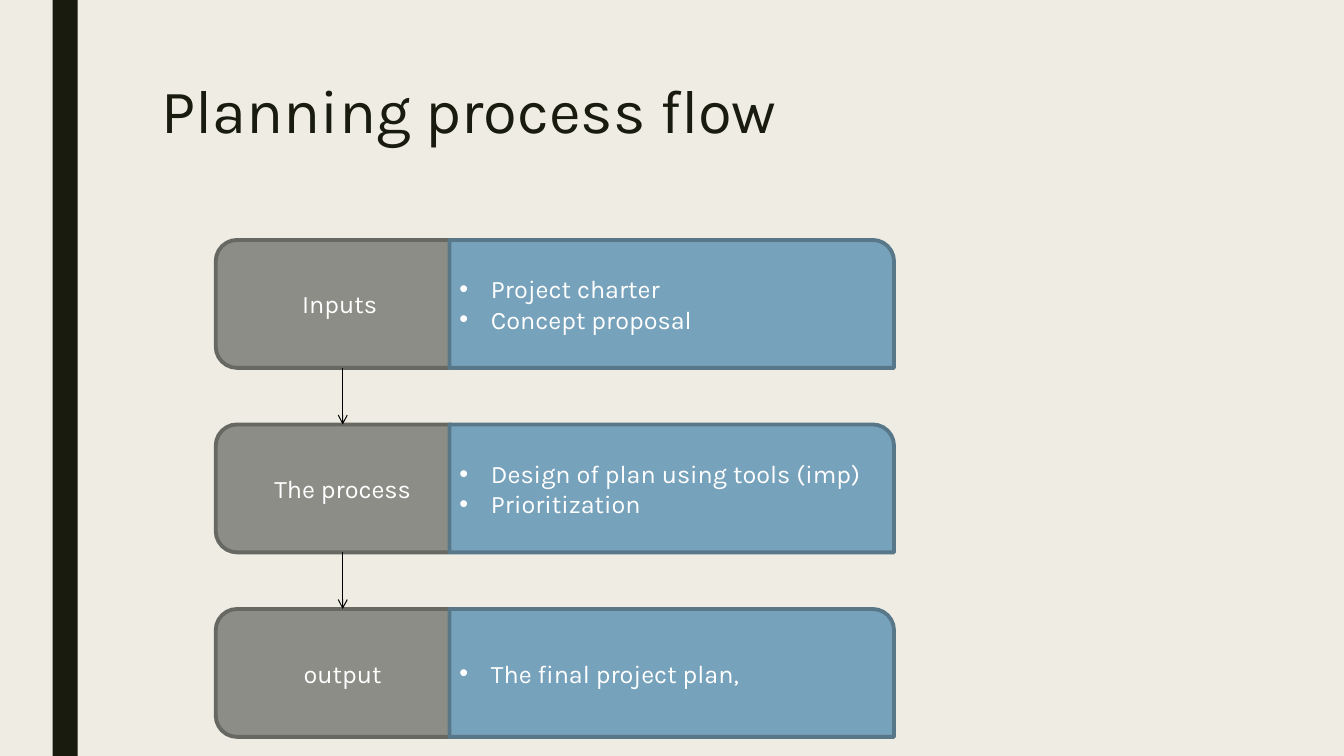
from dataclasses import dataclass

from lxml.etree import SubElement
from pptx import Presentation
from pptx.dml.color import RGBColor
from pptx.enum.shapes import MSO_CONNECTOR, MSO_SHAPE
from pptx.enum.text import MSO_ANCHOR, MSO_AUTO_SIZE, PP_ALIGN
from pptx.oxml.ns import qn
from pptx.shapes.autoshape import Shape
from pptx.slide import Slide
from pptx.util import Pt

FONT = "Karla"
INK, PAPER, WHITE, BLACK = "191B0E", "EFEDE3", "FFFFFF", "000000"
STAGE_TOP, STAGE_STEP, STAGE_HEIGHT = 171.4, 131.8, 91.4
BULLET_INDENT = 22.5


@dataclass(frozen=True)
class BoxStyle:
    preset: MSO_SHAPE
    left: float
    width: float
    fill: str
    line: str
    align: PP_ALIGN
    bulleted: bool


@dataclass(frozen=True)
class Stage:
    name: str
    details: tuple[str, ...]


NAME_STYLE = BoxStyle(MSO_SHAPE.ROUNDED_RECTANGLE, 154.1, 181.4,
                      "8C8D86", "686863", PP_ALIGN.CENTER, False)
DETAIL_STYLE = BoxStyle(MSO_SHAPE.ROUND_1_RECTANGLE, 321.1, 317.5,
                        "77A2BB", "58788A", PP_ALIGN.LEFT, True)

STAGES = (
    Stage("Inputs ", ("Project charter", "Concept proposal")),
    Stage("The process", ("Design of plan using tools (imp)", "Prioritization")),
    Stage("output", ("The final project plan,",)),
)


def rgb(code: str) -> RGBColor:
    return RGBColor.from_string(code)


def set_font(paragraph, size: float, color: str) -> None:
    paragraph.font.name = FONT
    paragraph.font.size = Pt(size)
    paragraph.font.color.rgb = rgb(color)


def add_bullet(paragraph) -> None:
    properties = paragraph._p.get_or_add_pPr()
    properties.set("marL", str(Pt(BULLET_INDENT)))
    properties.set("indent", str(-Pt(BULLET_INDENT)))
    SubElement(properties, qn("a:buFont")).set("typeface", "Arial")
    SubElement(properties, qn("a:buChar")).set("char", "•")


def add_box(slide: Slide, style: BoxStyle, top: float, lines: tuple[str, ...]) -> Shape:
    box = slide.shapes.add_shape(style.preset, Pt(style.left), Pt(top),
                                 Pt(style.width), Pt(STAGE_HEIGHT))
    box.shadow.inherit = False
    box.fill.solid()
    box.fill.fore_color.rgb = rgb(style.fill)
    box.line.color.rgb = rgb(style.line)
    box.line.width = Pt(2.75)
    frame = box.text_frame
    frame.word_wrap = True
    frame.vertical_anchor = MSO_ANCHOR.MIDDLE
    frame.text = "\n".join(lines)
    for paragraph in frame.paragraphs:
        paragraph.alignment = style.align
        if style.bulleted:
            add_bullet(paragraph)
        set_font(paragraph, 18, WHITE)
    return box


def add_arrow(slide: Slide, upper: Shape, lower: Shape) -> None:
    arrow = slide.shapes.add_connector(MSO_CONNECTOR.STRAIGHT, 0, 0, 0, 0)
    arrow.begin_connect(upper, 2)
    arrow.end_connect(lower, 0)
    arrow.line.color.rgb = rgb(BLACK)
    arrow.line.width = Pt(0.75)
    SubElement(arrow.line._get_or_add_ln(), qn("a:tailEnd")).set("type", "arrow")
    SubElement(arrow._element.spPr, qn("a:effectLst"))


def add_side_bar(slide: Slide) -> None:
    bar = slide.shapes.add_shape(MSO_SHAPE.RECTANGLE, Pt(37.5), 0, Pt(18), Pt(540))
    bar.shadow.inherit = False
    bar.fill.solid()
    bar.fill.fore_color.rgb = rgb(INK)
    bar.line.fill.background()


def format_title(slide: Slide, text: str) -> None:
    title = slide.shapes.title
    title.left, title.top = Pt(108), Pt(54)
    title.width, title.height = Pt(756), Pt(116.6)
    frame = title.text_frame
    frame.text = text
    frame.auto_size = MSO_AUTO_SIZE.NONE
    frame.vertical_anchor = MSO_ANCHOR.TOP
    heading = frame.paragraphs[0]
    heading.alignment = PP_ALIGN.LEFT
    heading.line_spacing = 0.89
    set_font(heading, 44, INK)


def main() -> None:
    deck = Presentation()
    deck.slide_width, deck.slide_height = Pt(960), Pt(540)
    slide = deck.slides.add_slide(deck.slide_layouts[5])
    slide.background.fill.solid()
    slide.background.fill.fore_color.rgb = rgb(PAPER)

    # Side bar and title
    add_side_bar(slide)
    format_title(slide, "Planning process flow")

    # Stage names, then their details on top
    tops = [STAGE_TOP + row * STAGE_STEP for row in range(len(STAGES))]
    names = [add_box(slide, NAME_STYLE, top, (stage.name,))
             for top, stage in zip(tops, STAGES)]
    for top, stage in zip(tops, STAGES):
        add_box(slide, DETAIL_STYLE, top, stage.details)

    # Flow from each stage to the next
    for upper, lower in zip(names, names[1:]):
        add_arrow(slide, upper, lower)

    deck.save("out.pptx")


if __name__ == "__main__":
    main()
